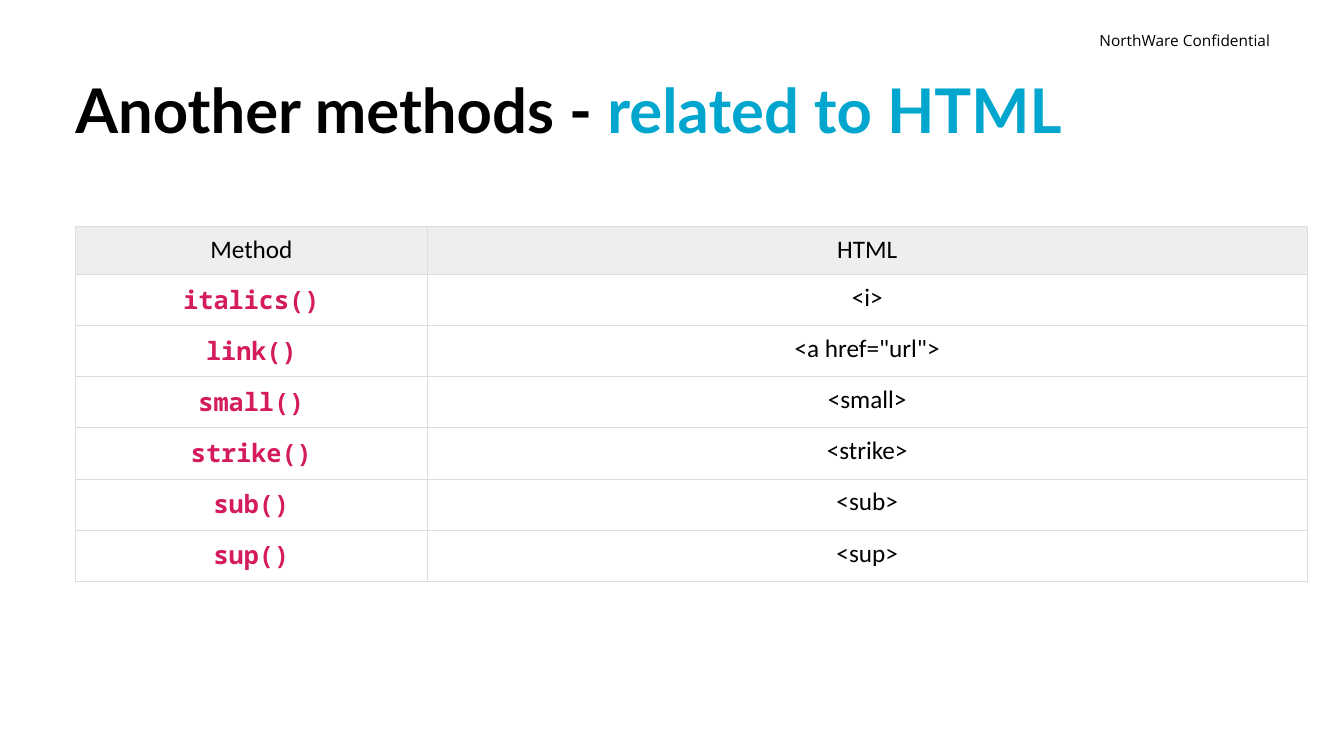
from lxml.etree import SubElement
from pptx import Presentation
from pptx.dml.color import RGBColor
from pptx.enum.text import MSO_ANCHOR, MSO_AUTO_SIZE, PP_ALIGN
from pptx.oxml.ns import qn
from pptx.util import Cm, Pt

# Content
LABEL = "NorthWare Confidential"
HEADERS = ("Method", "HTML")
METHODS = [
    ("italics()", "<i>"),
    ("link()", '<a href="url">'),
    ("small()", "<small>"),
    ("strike()", "<strike>"),
    ("sub()", "<sub>"),
    ("sup()", "<sup>"),
]

# Colours
BLACK = RGBColor(0x00, 0x00, 0x00)
BLUE = RGBColor(0x00, 0xA6, 0xCE)
PINK = RGBColor(0xD4, 0x1B, 0x5D)
HEADER_GREY = RGBColor(0xEE, 0xEE, 0xEE)
BORDER_GREY = RGBColor(0xDD, 0xDD, 0xDD)

TITLE = [("Another methods - ", BLACK), ("related to HTML", BLUE)]

# Layout
LEFT = Cm(1.9)
COLUMN_WIDTHS = (Cm(8.87), Cm(22.17))
HEADER_HEIGHT = Cm(1.21)
ROW_HEIGHT = Cm(1.29)
CELL_MARGIN = Cm(0.2)


def add_run(paragraph, text, font, size, color, bold=False):
    run = paragraph.add_run()
    run.text = text
    run.font.name = font
    run.font.size = Pt(size)
    run.font.bold = bold
    run.font.color.rgb = color


def set_borders(cell):
    properties = cell._tc.get_or_add_tcPr()
    for position, side in enumerate(("lnL", "lnR", "lnT", "lnB")):
        line = SubElement(properties, qn(f"a:{side}"), w=str(Pt(0.75)))
        fill = SubElement(line, qn("a:solidFill"))
        SubElement(fill, qn("a:srgbClr"), val=str(BORDER_GREY))
        properties.insert(position, line)


def fill_cell(cell, text, font="Calibri", color=BLACK, bold=False, background=None):
    cell.margin_left = cell.margin_right = CELL_MARGIN
    cell.margin_top = cell.margin_bottom = CELL_MARGIN
    paragraph = cell.text_frame.paragraphs[0]
    paragraph.alignment = PP_ALIGN.CENTER
    add_run(paragraph, text, font, 18, color, bold)
    if background is None:
        cell.fill.background()
    else:
        cell.fill.solid()
        cell.fill.fore_color.rgb = background
    set_borders(cell)


def add_label(slide):
    box = slide.shapes.add_textbox(Cm(26.37), Cm(0.66), Cm(5.89), Cm(0.74))
    box.text_frame.word_wrap = True
    paragraph = box.text_frame.paragraphs[0]
    paragraph.alignment = PP_ALIGN.RIGHT
    add_run(paragraph, LABEL, "Open Sans", 11, BLACK)


def format_title(title):
    title.left, title.top, title.width, title.height = LEFT, Cm(1.9), Cm(30.05), Cm(1.9)
    frame = title.text_frame
    frame.auto_size = MSO_AUTO_SIZE.NONE
    frame.word_wrap = True
    frame.vertical_anchor = MSO_ANCHOR.MIDDLE
    frame.margin_left = 0
    paragraph = frame.paragraphs[0]
    paragraph.alignment = PP_ALIGN.LEFT
    paragraph.line_spacing = 0.9
    for text, color in TITLE:
        add_run(paragraph, text, "Lato", 44, color, bold=True)


def add_methods_table(slide):
    height = HEADER_HEIGHT + ROW_HEIGHT * len(METHODS)
    table = slide.shapes.add_table(
        len(METHODS) + 1, len(HEADERS), LEFT, Cm(5.7), sum(COLUMN_WIDTHS), height
    ).table
    table.horz_banding = False
    for column, width in zip(table.columns, COLUMN_WIDTHS):
        column.width = width
    for index, row in enumerate(table.rows):
        row.height = ROW_HEIGHT if index else HEADER_HEIGHT

    for column, header in enumerate(HEADERS):
        fill_cell(table.cell(0, column), header, background=HEADER_GREY)
    for row, (method, tag) in enumerate(METHODS, start=1):
        fill_cell(table.cell(row, 0), method, "Noto Sans Mono", PINK, bold=True)
        fill_cell(table.cell(row, 1), tag)


def main():
    presentation = Presentation()
    presentation.slide_width = Cm(33.87)
    presentation.slide_height = Cm(19.05)
    slide = presentation.slides.add_slide(presentation.slide_layouts[5])

    add_label(slide)
    format_title(slide.shapes.title)
    add_methods_table(slide)

    presentation.save("out.pptx")


if __name__ == "__main__":
    main()
